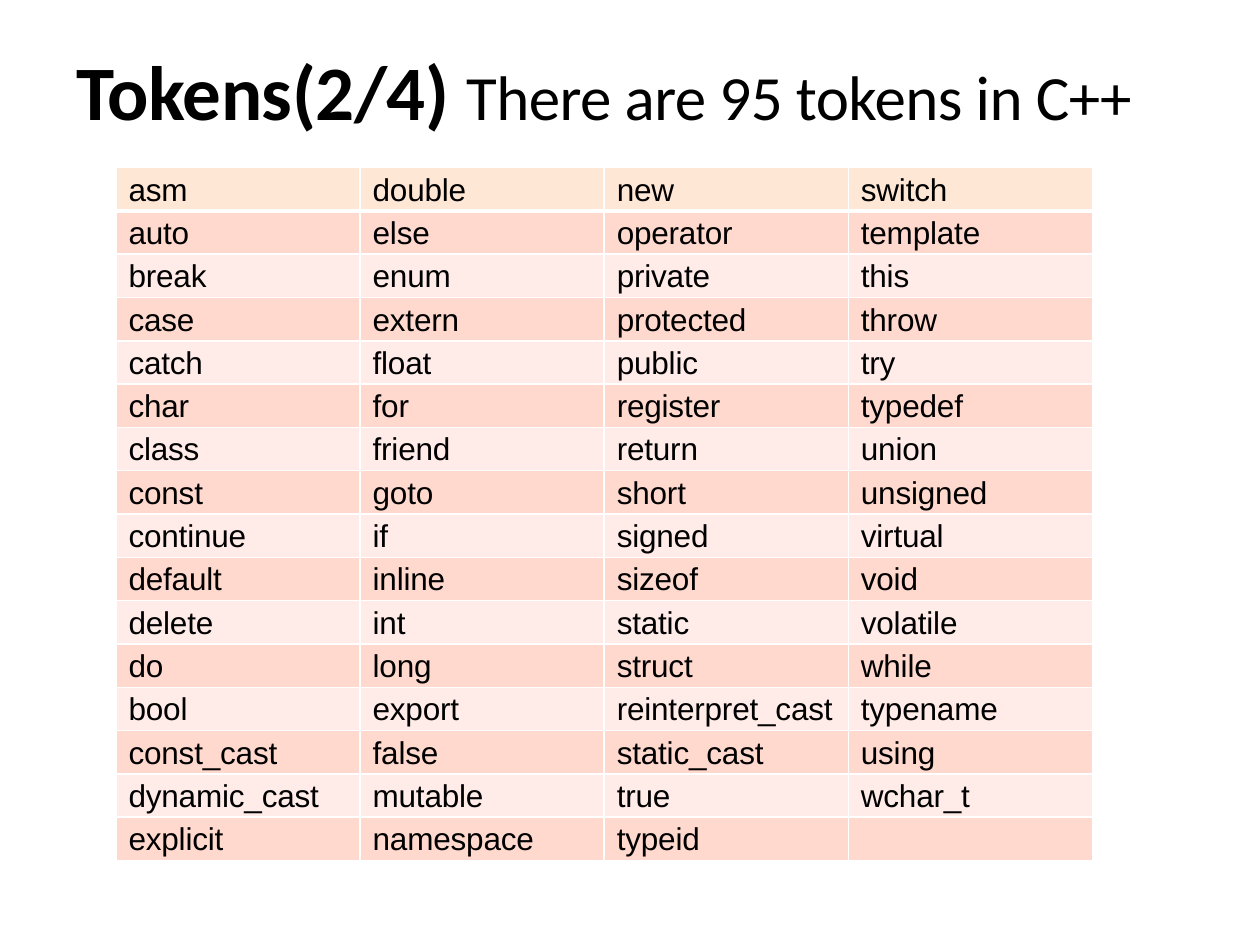
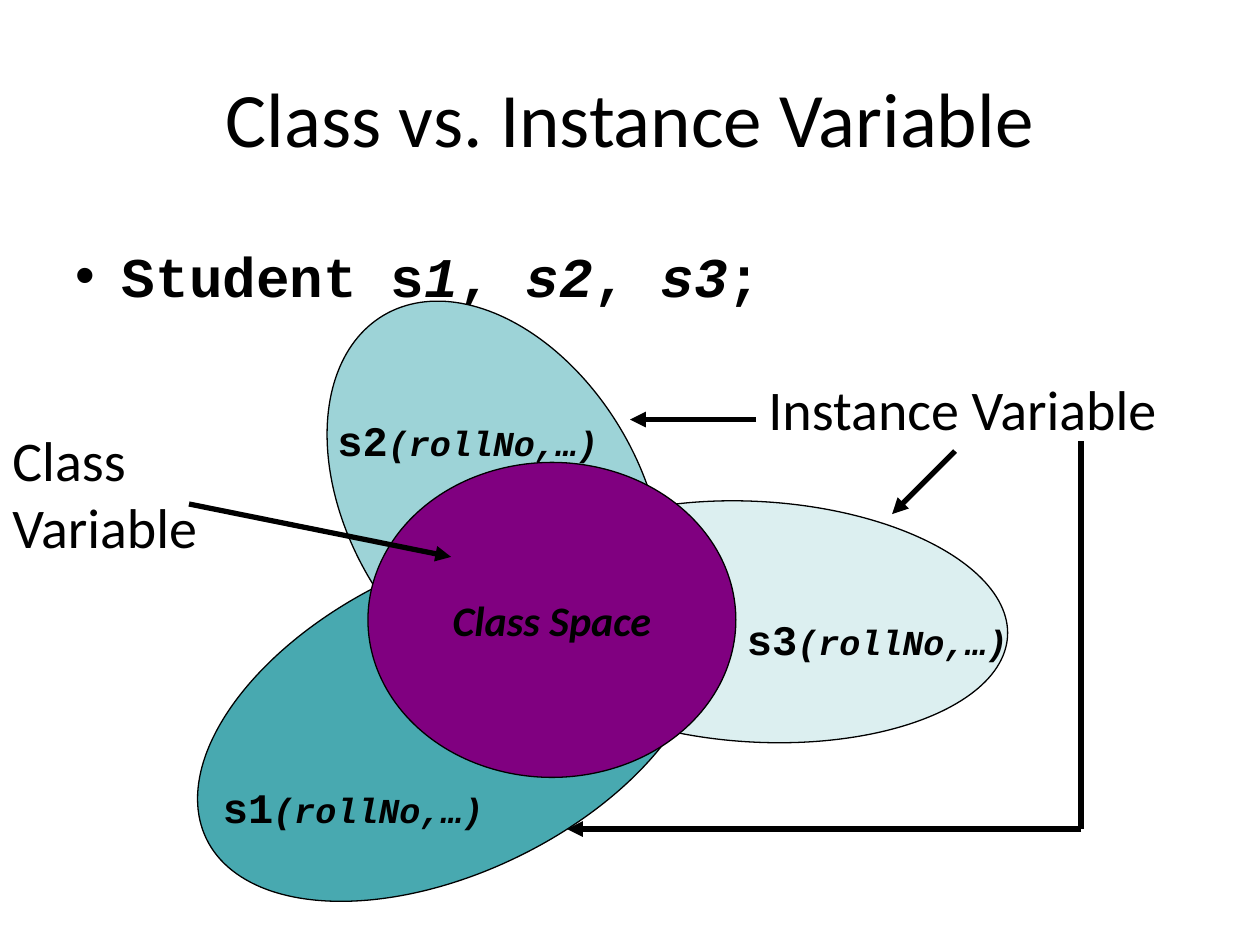
import dataclasses

import lxml.etree
import pptx
import pptx.dml.color
import pptx.enum.shapes
import pptx.enum.text
import pptx.oxml.ns
import pptx.util

Inches = pptx.util.Inches


@dataclasses.dataclass(frozen=True)
class Theme:
    """Colours, fonts and type sizes shared by the slides."""
    ink: str = "000000"
    grid: str = "FFFFFF"
    head_row: str = "FFE7D6"
    odd_row: str = "FFD9CE"
    even_row: str = "FFECE8"
    s1: str = "48A9B0"
    s2: str = "9DD3D7"
    s3: str = "DCEFF0"
    class_space: str = "800080"
    sans: str = "Calibri"
    mono: str = "Courier New"
    table_font: str = "Arial"
    title_size: int = 44
    subtitle_size: int = 36
    body_size: int = 32
    label_size: int = 24
    detail_size: int = 20
    cell_size: int = 18


THEME = Theme()
ANCHOR_MIDDLE = pptx.enum.text.MSO_ANCHOR.MIDDLE
CENTER = pptx.enum.text.PP_ALIGN.CENTER

TOKENS = """
asm double new switch
auto else operator template
break enum private this
case extern protected throw
catch float public try
char for register typedef
class friend return union
const goto short unsigned
continue if signed virtual
default inline sizeof void
delete int static volatile
do long struct while
bool export reinterpret_cast typename
const_cast false static_cast using
dynamic_cast mutable true wchar_t
explicit namespace typeid
"""


def rgb(code):
    """Return the colour for a hex code."""
    return pptx.dml.color.RGBColor.from_string(code)


def set_all(target, values):
    """Set every attribute in a dict of format values."""
    for name, value in values.items():
        setattr(target, name, value)


def add_xml(parent, tag, **attributes):
    """Append a DrawingML element to a parent."""
    return lxml.etree.SubElement(parent, pptx.oxml.ns.qn(tag), **attributes)


def add_span(para, text, name, size, spacing=None, **values):
    """Add a formatted run to a paragraph."""
    span = para.add_run()
    span.text = text
    set_all(span.font, {"name": name, "size": pptx.util.Pt(size), **values})
    span.font.color.rgb = rgb(THEME.ink)
    if spacing:
        span.font._element.set("spc", str(spacing))
    return span


def add_title(page, place, spans):
    """Place the title and fill it with formatted spans."""
    title = page.shapes.title
    set_all(title, dict(zip(("left", "top", "width", "height"), map(Inches, place))))
    set_all(title.text_frame, {"auto_size": pptx.enum.text.MSO_AUTO_SIZE.NONE,
                               "vertical_anchor": ANCHOR_MIDDLE, "word_wrap": True})
    para = title.text_frame.paragraphs[0]
    para.alignment = CENTER
    for text, values in spans:
        add_span(para, text, THEME.sans, **values)
    return title


def add_label(page, place, spans, top_inset=0.05):
    """Add a wrapped text box and return its paragraph."""
    box = page.shapes.add_textbox(*map(Inches, place))
    set_all(box.text_frame, {"word_wrap": True, "margin_top": Inches(top_inset)})
    para = box.text_frame.paragraphs[0]
    for text, values in spans:
        add_span(para, text, **values)
    return para


def add_bullet(para, indent):
    """Give a paragraph a hanging bullet."""
    properties = para._p.get_or_add_pPr()
    properties.set("marL", str(Inches(indent)))
    properties.set("indent", str(-Inches(indent)))
    add_xml(properties, "a:buFont", typeface=THEME.table_font)
    add_xml(properties, "a:buChar", char="•")


def add_ellipse(page, place, color, rotation=0):
    """Add an outlined ellipse."""
    ellipse = page.shapes.add_shape(pptx.enum.shapes.MSO_SHAPE.OVAL, *map(Inches, place))
    ellipse.shadow.inherit = False
    ellipse.rotation = rotation
    ellipse.fill.solid()
    ellipse.fill.fore_color.rgb = rgb(color)
    ellipse.line.color.rgb = rgb(THEME.ink)
    ellipse.line.width = pptx.util.Pt(0.75)
    return ellipse


def add_line(page, start, end, arrow=True):
    """Add a thick straight line with an optional arrowhead at its end."""
    line = page.shapes.add_connector(pptx.enum.shapes.MSO_CONNECTOR.STRAIGHT,
                                     *map(Inches, start + end))
    line.line.color.rgb = rgb(THEME.ink)
    line.line.width = pptx.util.Pt(3)
    if arrow:
        add_xml(line.line._get_or_add_ln(), "a:tailEnd", type="triangle")
    add_xml(line._element.spPr, "a:effectLst")


def add_borders(cell, widths):
    """Draw the left, right, top and bottom borders of a cell."""
    properties = cell._tc.get_or_add_tcPr()
    for side, width in zip("LRTB", widths):
        border = add_xml(properties, f"a:ln{side}", w=str(pptx.util.Pt(width)))
        add_xml(add_xml(border, "a:solidFill"), "a:srgbClr", val=THEME.grid)


def add_token_table(page, place, rows):
    """Add the banded table of tokens."""
    row_count, column_count = len(rows), len(rows[0])
    table = page.shapes.add_table(row_count, column_count, *map(Inches, place)).table
    for row in table.rows:
        row.height = Inches(place[3] / row_count)
    for index, words in enumerate(rows):
        color = (THEME.odd_row if index % 2 else THEME.even_row) if index else THEME.head_row
        widths = (1, 1, 3 if index == 1 else 1, 3 if index == 0 else 1)
        for column in range(column_count):
            cell = table.cell(index, column)
            set_all(cell, {"margin_left": Inches(0.1), "margin_right": 0,
                           "margin_top": Inches(0.04), "margin_bottom": 0})
            add_borders(cell, widths)
            cell.fill.solid()
            cell.fill.fore_color.rgb = rgb(color)
            if column < len(words):
                add_span(cell.text_frame.paragraphs[0], words[column],
                         THEME.table_font, THEME.cell_size, spacing=-10)


def build_tokens(page):
    """Build the slide that lists the tokens."""
    title = add_title(page, (0.42, 0.33, 8.75, 0.76), [
        ("Tokens(2/4) ", {"size": THEME.title_size, "bold": True, "spacing": -30}),
        ("There are 95 tokens in C++", {"size": THEME.subtitle_size, "spacing": -30}),
    ])
    set_all(title.text_frame, {"margin_left": 0, "margin_right": 0,
                               "margin_top": Inches(0.01), "margin_bottom": 0})
    rows = [line.split() for line in TOKENS.strip().splitlines()]
    add_token_table(page, (0.92, 1.33, 7.75, 5.5), rows)


def build_variables(page):
    """Build the slide that compares class and instance variables."""
    add_title(page, (0.5, 0.3, 9, 1.25),
              [("Class vs. Instance Variable", {"size": THEME.title_size})])

    code = {"name": THEME.mono, "size": THEME.body_size, "bold": True}
    pieces = ("Student s", "1", ", ", "s2", ", ", "s3", ";")
    declaration = add_label(page, (0.5, 1.88, 9, 4.95), [
        (piece, {**code, "italic": index % 2 == 1}) for index, piece in enumerate(pieces)
    ], top_inset=0.14)
    add_bullet(declaration, 0.37)
    declaration.line_spacing = 0.8

    add_ellipse(page, (4, 3.98, 4, 1.91), THEME.s3, 3.3)
    add_ellipse(page, (1.42, 4.5, 4.33, 2.42), THEME.s1, 334)
    add_ellipse(page, (2.19, 2.84, 3.48, 2.32), THEME.s2, 59.4)
    class_space = add_ellipse(page, (2.92, 3.67, 2.92, 2.5), THEME.class_space)
    class_space.text_frame.vertical_anchor = ANCHOR_MIDDLE
    para = class_space.text_frame.paragraphs[0]
    para.alignment = CENTER
    add_span(para, "Class Space", THEME.sans, THEME.label_size, bold=True, italic=True)

    label = {"name": THEME.mono, "bold": True}
    for name, place in (("s1", (1.67, 6.08, 2.58, 0.5)),
                        ("s2", (2.58, 3.17, 3.08, 0.5)),
                        ("s3", (5.83, 4.75, 3.08, 0.5))):
        add_label(page, place, [
            (name, {**label, "size": THEME.label_size}),
            ("(rollNo,…)", {**label, "size": THEME.detail_size, "italic": True}),
        ], top_inset=0.12)

    caption = {"name": THEME.sans, "size": THEME.body_size}
    add_label(page, (6, 2.92, 3.63, 0.63), [("Instance Variable", caption)])
    add_label(page, (0, 3.33, 2.33, 1.17), [("Class Variable", caption)])

    add_line(page, (8.58, 3.5), (8.58, 6.58), arrow=False)
    for start, end in (((8.58, 6.58), (4.5, 6.58)),
                       ((7.58, 3.58), (7.08, 4.08)),
                       ((6, 3.33), (5, 3.33)),
                       ((1.5, 4), (3.58, 4.42))):
        add_line(page, start, end)


def main():
    """Build the deck and save it."""
    deck = pptx.Presentation()
    deck.slide_width, deck.slide_height = Inches(10), Inches(7.5)
    for build in (build_tokens, build_variables):
        build(deck.slides.add_slide(deck.slide_layouts.get_by_name("Title Only")))
    deck.save("out.pptx")


if __name__ == "__main__":
    main()
